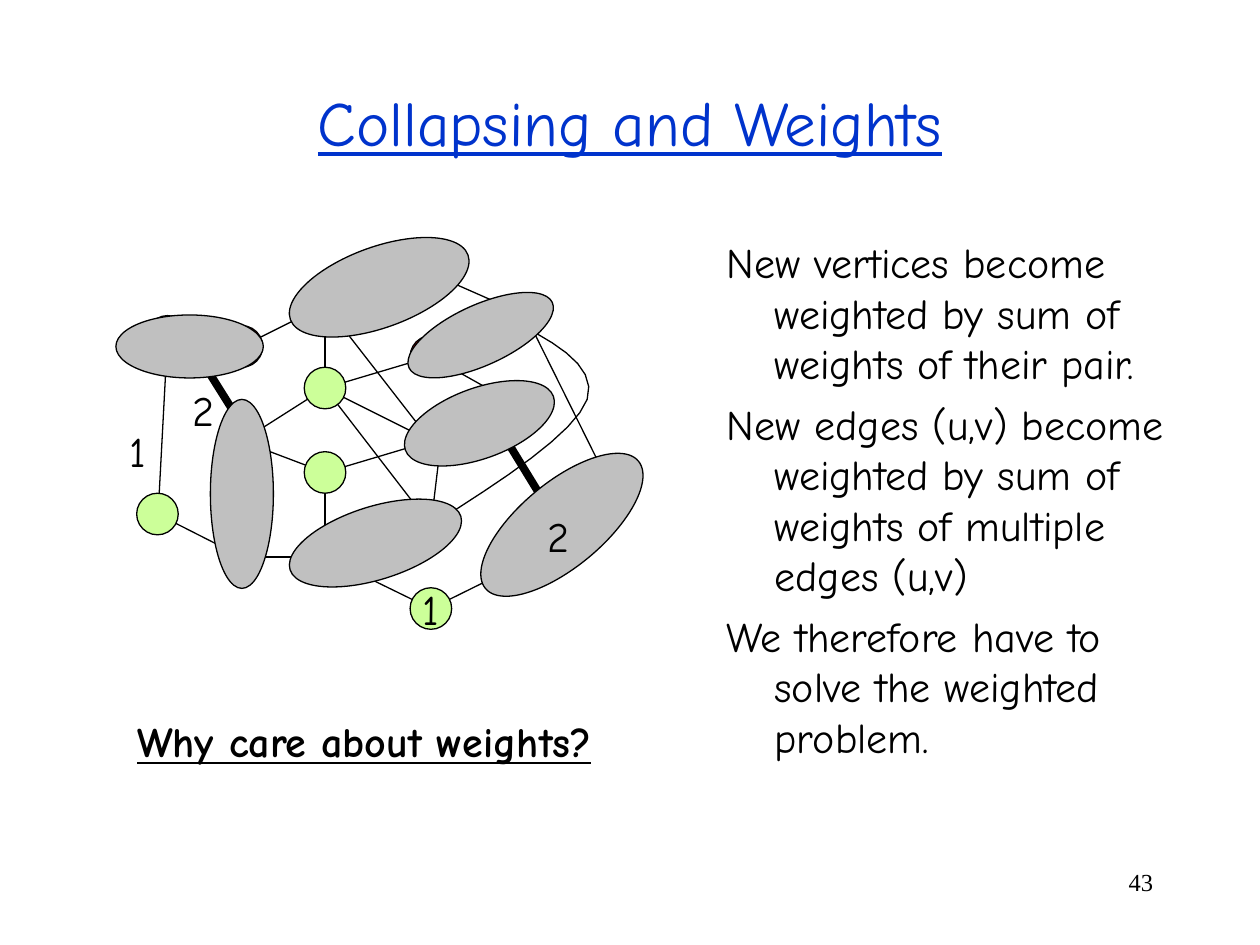
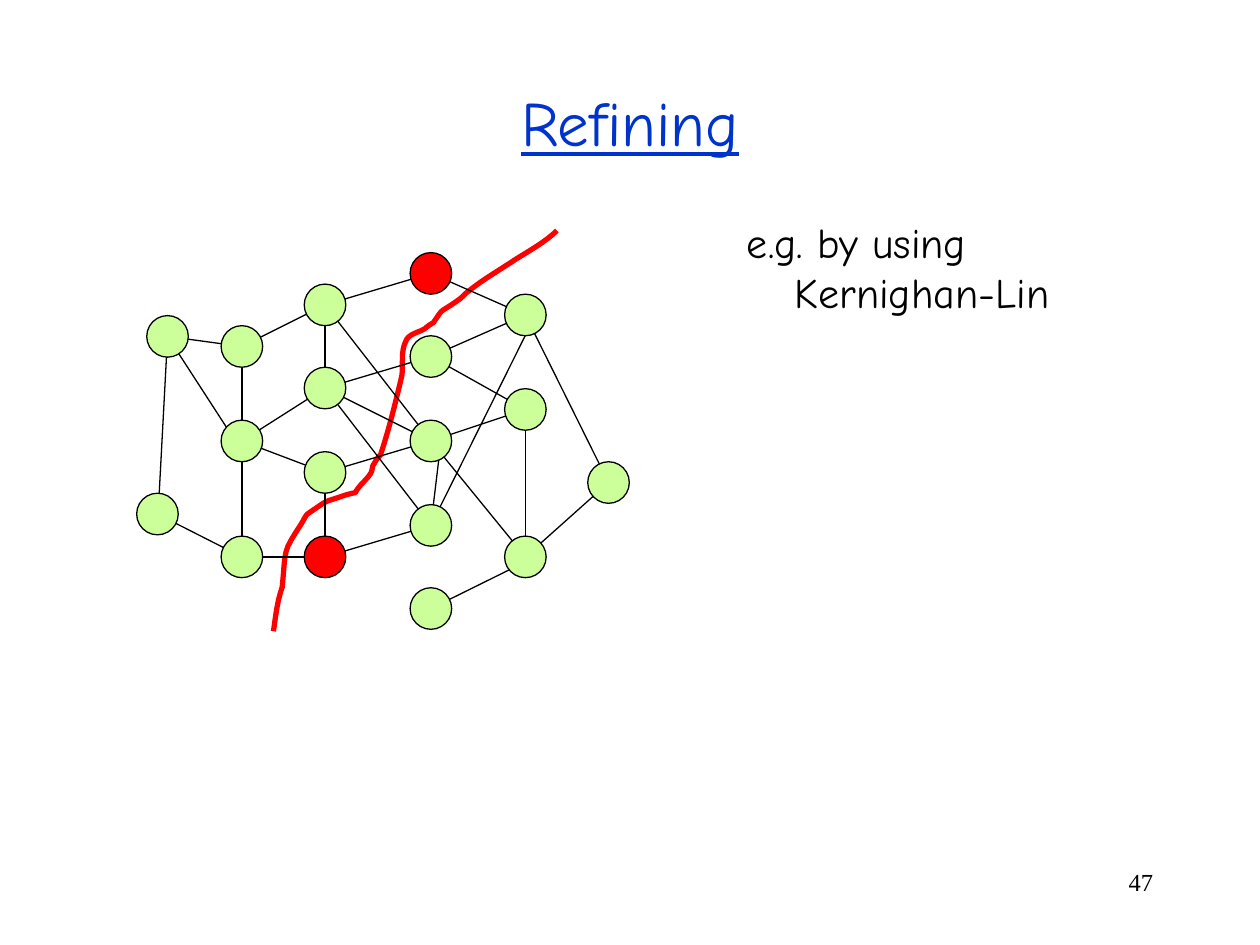
from dataclasses import dataclass

from lxml.etree import SubElement
from pptx import Presentation
from pptx.dml.color import RGBColor
from pptx.enum.shapes import MSO_CONNECTOR, MSO_SHAPE
from pptx.enum.text import MSO_ANCHOR, PP_ALIGN
from pptx.oxml.ns import qn
from pptx.util import Inches, Pt


@dataclass(frozen=True)
class Theme:
    title: RGBColor = RGBColor(0x00, 0x33, 0xCC)
    ink: RGBColor = RGBColor(0x00, 0x00, 0x00)
    vertex: RGBColor = RGBColor(0xCC, 0xFF, 0x99)
    marked: RGBColor = RGBColor(0xFF, 0x00, 0x00)
    cluster: RGBColor = RGBColor(0xC0, 0xC0, 0xC0)
    font: str = "Comic Neue"
    number_font: str = "Times New Roman"
    title_size: int = 36
    body_size: int = 24
    number_size: int = 14
    thin: float = 0.75
    cut: float = 3
    heavy: float = 4.5


THEME = Theme()
DIAMETER = 0.33
HANGING = 0.38
CURVE_STEPS = 8

# Vertex centres, column by column
VERTICES = {
    "A": (1.33, 2.67), "B": (1.25, 4.08),
    "C": (1.92, 2.75), "D": (1.92, 3.5), "E": (1.92, 4.42),
    "F": (2.58, 2.42), "G": (2.58, 3.08), "H": (2.58, 3.75), "I": (2.58, 4.42),
    "J": (3.42, 2.17), "K": (3.42, 2.83), "L": (3.42, 3.5), "M": (3.42, 4.17),
    "N": (3.42, 4.83),
    "O": (4.17, 2.5), "P": (4.17, 3.25), "Q": (4.17, 4.42),
    "R": (4.83, 3.83),
}
# Edge ends that lie beside the centre of the vertex with the capital letter
OFF_CENTRE = {
    "b": (1.25, 4.17), "d": (1.92, 3.58), "l": (3.5, 3.5),
    "o": (4.25, 2.5), "q": (4.25, 4.42),
}
ENDS = {**VERTICES, **OFF_CENTRE}

SHARED_EDGES = "EI HD EB HI DG GF FC Ab JO PK OR Nq Ml FL GK GM GL HL".split()
COLLAPSED_EDGES = SHARED_EDGES + ["IN"]
REFINED_EDGES = SHARED_EDGES + "ED Cd dA AC KO oM LP RQ QL QP FJ IM".split()

# left, top, width, height, rotation
CLUSTERS = [
    (3.67, 3.83, 1.58, 0.67, 320.2),
    (3.18, 3.08, 1.25, 0.56, 340),
    (3.19, 2.42, 1.25, 0.48, 335.5),
    (2.26, 1.96, 1.5, 0.64, 340),
    (2.27, 4.02, 1.42, 0.58, 342.6),
    (1.67, 3.17, 0.5, 1.5, 0),
    (0.92, 2.5, 1.17, 0.5, 0),
]
HEAVY_EDGES = [((3.92, 3.33), (4.33, 4)), ((1.58, 2.83), (2, 3.5))]
WEIGHTS = [("2", 4.25, 4), ("2", 1.43, 3), ("1", 0.93, 3.33)]

# Bezier curves: a start, then two controls and an end for each piece
ROUND_EDGE = [
    (3.42, 4.17),
    (3.99, 3.81), (4.56, 3.44), (4.66, 3.17),
    (4.75, 2.89), (4.36, 2.69), (3.97, 2.5),
]
PARTITION_CUT = [
    (2.17, 5.01),
    (2.19, 4.88), (2.2, 4.77), (2.24, 4.66),
    (2.27, 4.35), (2.24, 4.39), (2.39, 4.16),
    (2.41, 4.13), (2.42, 4.1), (2.44, 4.08),
    (2.63, 3.95), (2.54, 4), (2.74, 3.93),
    (2.77, 3.92), (2.82, 3.91), (2.82, 3.91),
    (2.85, 3.85), (2.91, 3.81), (2.94, 3.76),
    (2.96, 3.73), (2.95, 3.7), (2.97, 3.68),
    (2.98, 3.66), (3, 3.63), (3.02, 3.61),
    (3.09, 3.4), (3.14, 3.19), (3.19, 2.98),
    (3.2, 2.89), (3.18, 2.79), (3.22, 2.71),
    (3.24, 2.65), (3.32, 2.64), (3.37, 2.61),
    (3.39, 2.59), (3.44, 2.56), (3.44, 2.56),
    (3.53, 2.43), (3.47, 2.5), (3.64, 2.38),
    (3.67, 2.36), (3.69, 2.33), (3.72, 2.31),
    (3.83, 2.22), (3.97, 2.14), (4.09, 2.06),
    (4.2, 1.99), (4.33, 1.92), (4.42, 1.83),
]

COLLAPSING_NOTES = [
    "New vertices become weighted by sum of weights of their pair.",
    "New edges (u,v) become weighted by sum of weights of multiple edges (u,v)",
    "We therefore have to solve the weighted problem.",
]
REFINING_NOTES = ["e.g. by using Kernighan-Lin"]


def style(paragraph, size=THEME.body_size, color=THEME.ink, font=THEME.font):
    paragraph.font.size = Pt(size)
    paragraph.font.name = font
    paragraph.font.color.rgb = color


def add_text(slide, box, lines, align=PP_ALIGN.LEFT, wrap=True, **look):
    frame = slide.shapes.add_textbox(*map(Inches, box)).text_frame
    frame.word_wrap = wrap
    frame.text = "\n".join(lines)
    for paragraph in frame.paragraphs:
        paragraph.alignment = align
        style(paragraph, **look)
    return frame


def add_frame(deck, title, number):
    """Start a slide with its title and page number."""
    slide = deck.slides.add_slide(deck.slide_layouts[6])
    heading = add_text(slide, (0.75, 0.5, 8.5, 0.92), [title], PP_ALIGN.CENTER,
                       size=THEME.title_size, color=THEME.title)
    heading.vertical_anchor = MSO_ANCHOR.MIDDLE
    heading.paragraphs[0].font.underline = True
    add_text(slide, (7.17, 6.83, 2.08, 0.5), [str(number)], PP_ALIGN.RIGHT,
             size=THEME.number_size, font=THEME.number_font)
    return slide


def add_notes_column(slide, box, notes):
    for paragraph in add_text(slide, box, notes).paragraphs:
        paragraph.space_before = Pt(6)
        properties = paragraph._p.get_or_add_pPr()
        properties.set("marL", str(Inches(HANGING)))
        properties.set("indent", str(-Inches(HANGING)))


def add_edge(slide, start, end, width=THEME.thin):
    edge = slide.shapes.add_connector(MSO_CONNECTOR.STRAIGHT,
                                      *map(Inches, (*start, *end)))
    edge.line.color.rgb = THEME.ink
    edge.line.width = Pt(width)
    SubElement(edge._element.spPr, qn("a:effectLst"))


def add_edges(slide, edges):
    for start, end in edges:
        add_edge(slide, ENDS[start], ENDS[end])


def add_ellipse(slide, box, color, rotation=0):
    ellipse = slide.shapes.add_shape(MSO_SHAPE.OVAL, *map(Inches, box))
    ellipse.rotation = rotation
    ellipse.shadow.inherit = False
    ellipse.fill.solid()
    ellipse.fill.fore_color.rgb = color
    ellipse.line.color.rgb = THEME.ink
    ellipse.line.width = Pt(THEME.thin)
    return ellipse


def add_vertices(slide, names, marked):
    """Draw the named vertices and return them by name."""
    drawn = {}
    for name in names:
        x, y = VERTICES[name]
        box = (x - DIAMETER / 2, y - DIAMETER / 2, DIAMETER, DIAMETER)
        color = THEME.marked if name in marked else THEME.vertex
        drawn[name] = add_ellipse(slide, box, color)
    return drawn


def bezier_points(knots):
    """Yield points along a chain of cubic Bezier pieces, after its start."""
    for first in range(0, len(knots) - 1, 3):
        piece = knots[first:first + 4]
        for step in range(1, CURVE_STEPS + 1):
            t = step / CURVE_STEPS
            factors = ((1 - t) ** 3, 3 * t * (1 - t) ** 2,
                       3 * t ** 2 * (1 - t), t ** 3)
            yield tuple(Inches(sum(f * knot[axis] for f, knot in zip(factors, piece)))
                        for axis in (0, 1))


def add_curve(slide, knots, color, width):
    builder = slide.shapes.build_freeform(*map(Inches, knots[0]))
    builder.add_line_segments(bezier_points(knots), close=False)
    curve = builder.convert_to_shape()
    curve.shadow.inherit = False
    curve.fill.background()
    curve.line.color.rgb = color
    curve.line.width = Pt(width)


def build_collapsing(deck):
    slide = add_frame(deck, "Collapsing and Weights", 43)
    add_curve(slide, ROUND_EDGE, THEME.ink, THEME.thin)
    for start, end in HEAVY_EDGES:
        add_edge(slide, start, end, THEME.heavy)
    add_notes_column(slide, (5.67, 1.83, 3.83, 4.83), COLLAPSING_NOTES)
    add_edges(slide, COLLAPSED_EDGES)
    vertices = add_vertices(slide, "GHNBACK", marked="ACK")

    weight = vertices["N"].text_frame
    weight.word_wrap = False
    weight.vertical_anchor = MSO_ANCHOR.MIDDLE
    weight.text = "1"
    weight.paragraphs[0].alignment = PP_ALIGN.CENTER
    style(weight.paragraphs[0])

    for *box, rotation in CLUSTERS:
        add_ellipse(slide, box, THEME.cluster, rotation)
    for text, left, top in WEIGHTS:
        add_text(slide, (left, top, 0.37, 0.5), [text], wrap=False)
    question = add_text(slide, (0.99, 5.63, 3.81, 0.5),
                        ["Why care about weights?"], wrap=False)
    question.paragraphs[0].font.bold = True
    question.paragraphs[0].font.underline = True


def build_refining(deck):
    slide = add_frame(deck, "Refining", 47)
    add_notes_column(slide, (5.83, 1.67, 3.42, 5), REFINING_NOTES)
    add_curve(slide, PARTITION_CUT, THEME.marked, THEME.cut)
    add_edges(slide, REFINED_EDGES)
    add_vertices(slide, VERTICES, marked="IJ")


def main():
    deck = Presentation()
    deck.slide_width, deck.slide_height = Inches(10), Inches(7.5)
    build_collapsing(deck)
    build_refining(deck)
    deck.save("out.pptx")


if __name__ == "__main__":
    main()
